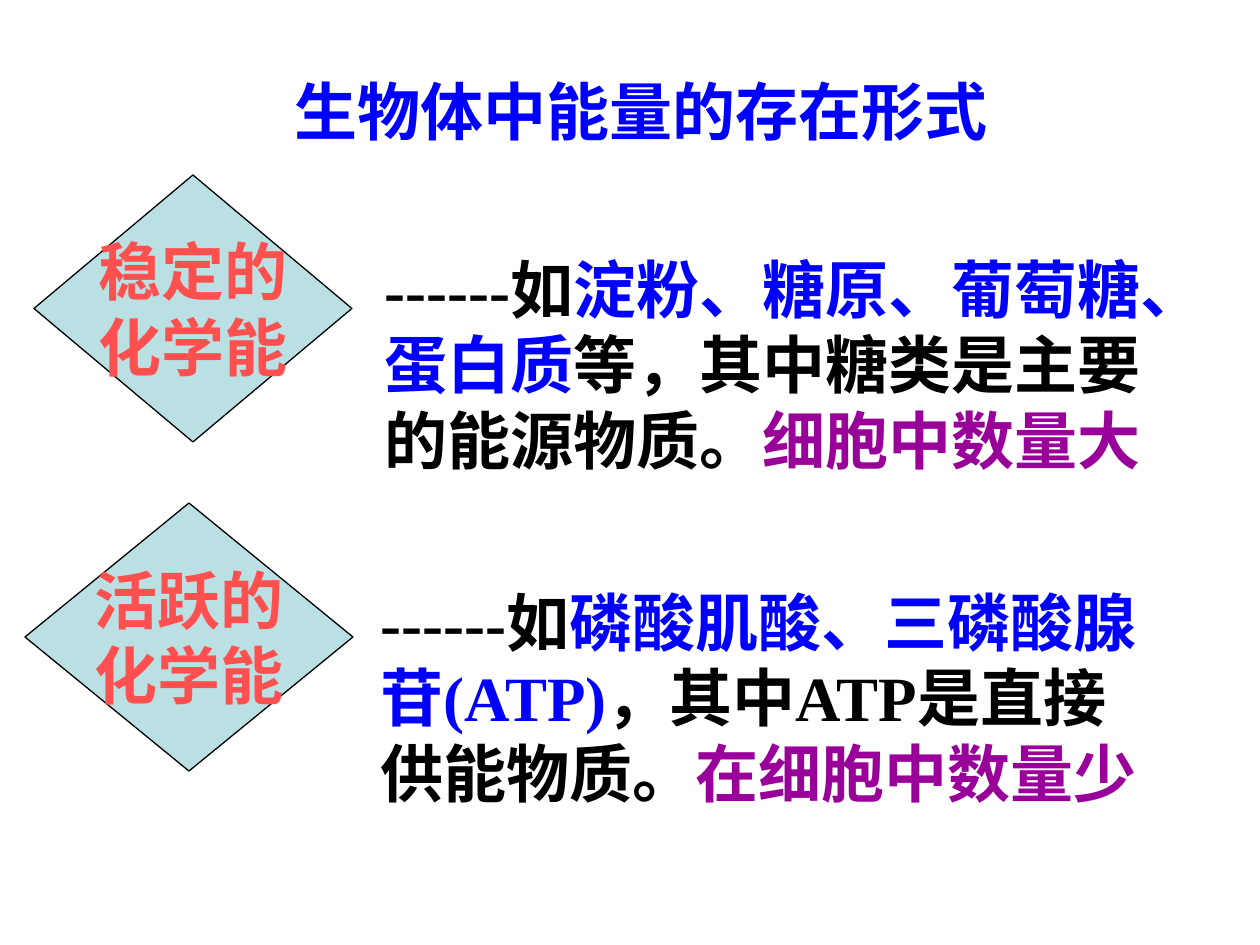
from dataclasses import dataclass

import pptx
import pptx.dml.color
import pptx.enum.shapes
import pptx.enum.text
import pptx.util

RGBColor = pptx.dml.color.RGBColor
PP_ALIGN = pptx.enum.text.PP_ALIGN
MSO_ANCHOR = pptx.enum.text.MSO_ANCHOR

PX_PER_INCH = 126
FONT = "Times New Roman"
BLUE = RGBColor(0x00, 0x00, 0xFF)
BLACK = RGBColor(0x00, 0x00, 0x00)
PURPLE = RGBColor(0x99, 0x00, 0x99)
RED = RGBColor(0xFF, 0x50, 0x50)
PALE_TEAL = RGBColor(0xBB, 0xE0, 0xE3)


@dataclass(frozen=True)
class Box:
    left: int
    top: int
    width: int
    height: int


@dataclass(frozen=True)
class EnergyForm:
    diamond: Box
    name: tuple[str, ...]
    note: Box
    examples: str
    role: str
    amount: str


TITLE = Box(282, 66, 756, 88)
ENERGY_FORMS = (
    EnergyForm(Box(34, 175, 318, 267), ("稳定的", "化学能"), Box(372, 244, 829, 239),
               "淀粉、糖原、葡萄糖、蛋白质", "等，其中糖类是主要的能源物质。", "细胞中数量大"),
    EnergyForm(Box(25, 503, 328, 268), ("活跃的", "化学能"), Box(368, 577, 789, 239),
               "磷酸肌酸、三磷酸腺苷(ATP)", "，其中ATP是直接供能物质。", "在细胞中数量少"),
)


def px(n: int) -> pptx.util.Emu:
    return pptx.util.Emu(round(n * 914400 / PX_PER_INCH))


def emu(box: Box) -> tuple[pptx.util.Emu, ...]:
    return px(box.left), px(box.top), px(box.width), px(box.height)


def add_run(p, text: str, *, color: RGBColor, size: int = 36, bold: bool = True) -> None:
    r = p.add_run()
    r.text = text
    r.font.name = FONT
    r.font.size = pptx.util.Pt(size)
    r.font.bold = bold
    r.font.color.rgb = color


def add_text(s, box: Box, *runs: tuple[str, RGBColor]) -> None:
    """Add a wrapped text box holding one paragraph of coloured runs."""
    tf = s.shapes.add_textbox(*emu(box)).text_frame
    tf.word_wrap = True
    for text, color in runs:
        add_run(tf.paragraphs[0], text, color=color)


def add_diamond(s, box: Box, lines: tuple[str, ...]) -> None:
    sp = s.shapes.add_shape(pptx.enum.shapes.MSO_SHAPE.DIAMOND, *emu(box))
    sp.shadow.inherit = False
    sp.fill.solid()
    sp.fill.fore_color.rgb = PALE_TEAL
    sp.line.color.rgb = BLACK
    sp.line.width = pptx.util.Pt(0.75)
    tf = sp.text_frame
    tf.word_wrap = False
    tf.vertical_anchor = MSO_ANCHOR.MIDDLE
    for i, line in enumerate(lines):
        p = tf.add_paragraph() if i else tf.paragraphs[0]
        p.alignment = PP_ALIGN.CENTER
        add_run(p, line, color=RED)


def main() -> None:
    prs = pptx.Presentation()
    prs.slide_width, prs.slide_height = px(1260), px(945)
    s = prs.slides.add_slide(prs.slide_layouts[6])
    add_text(s, TITLE, ("生物体中能量的存在形式", BLUE))
    for form in ENERGY_FORMS:
        add_diamond(s, form.diamond, form.name)
    for form in ENERGY_FORMS:
        add_text(s, form.note, ("------如", BLACK), (form.examples, BLUE),
                 (form.role, BLACK), (form.amount, PURPLE))
    prs.save("out.pptx")


if __name__ == "__main__":
    main()
